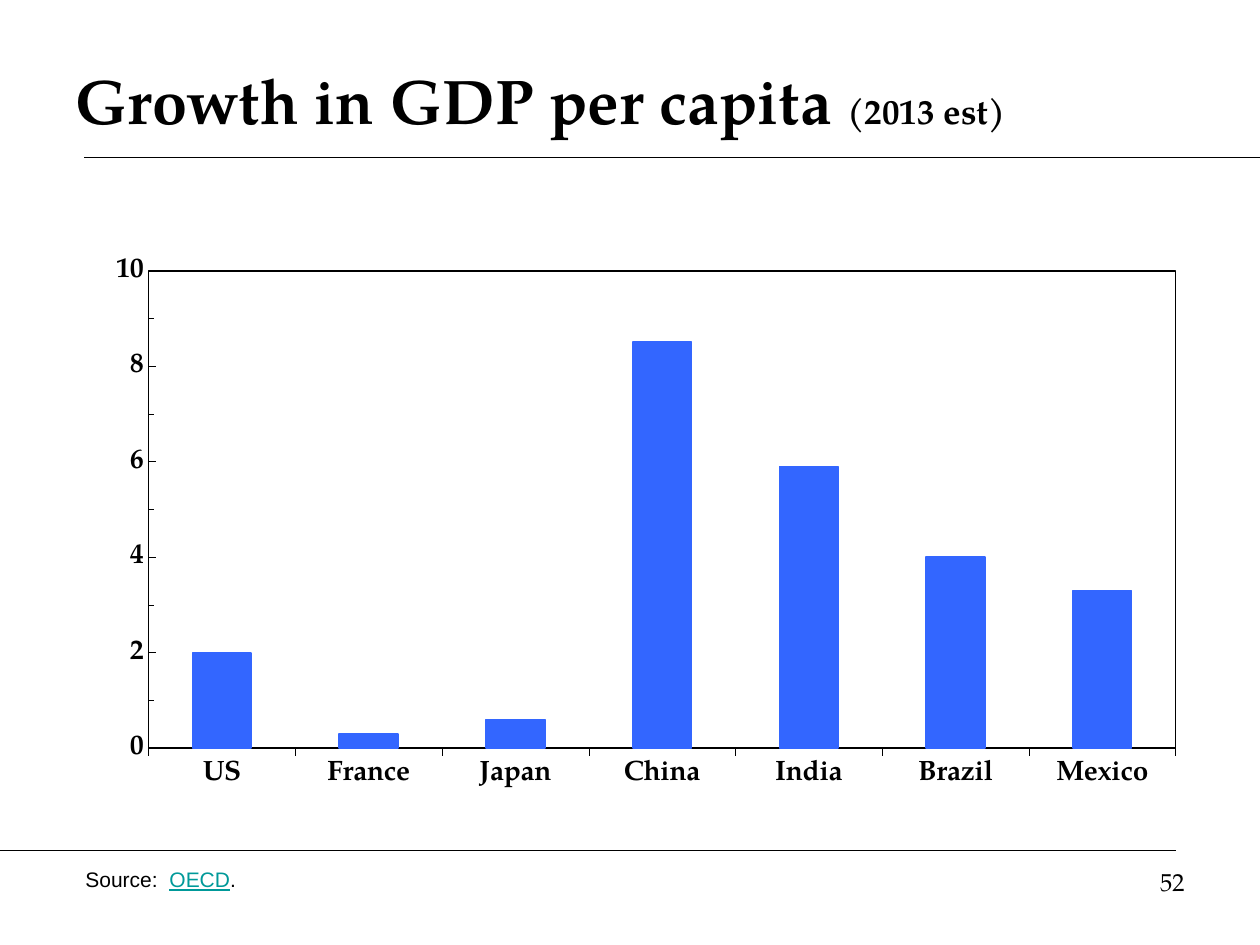
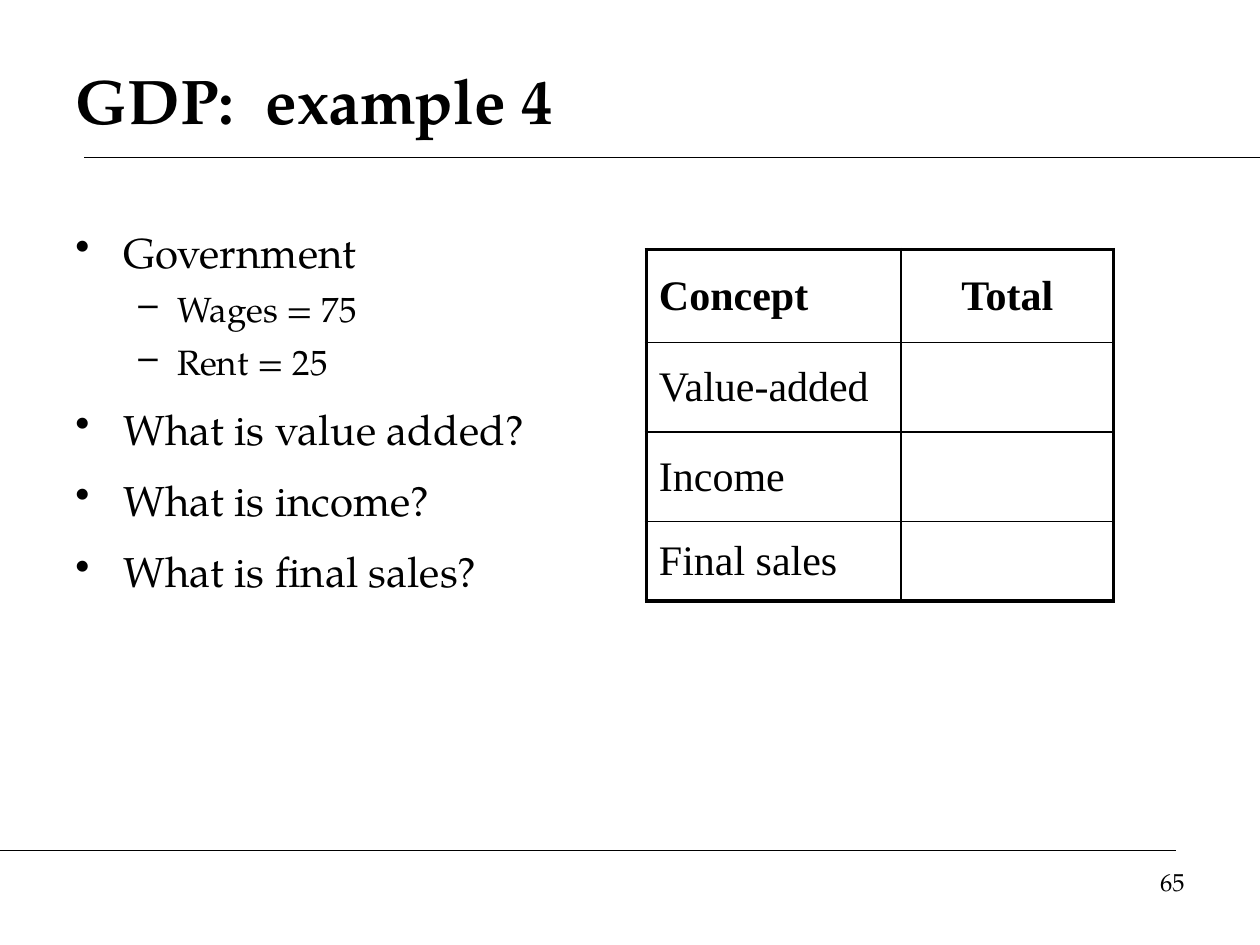
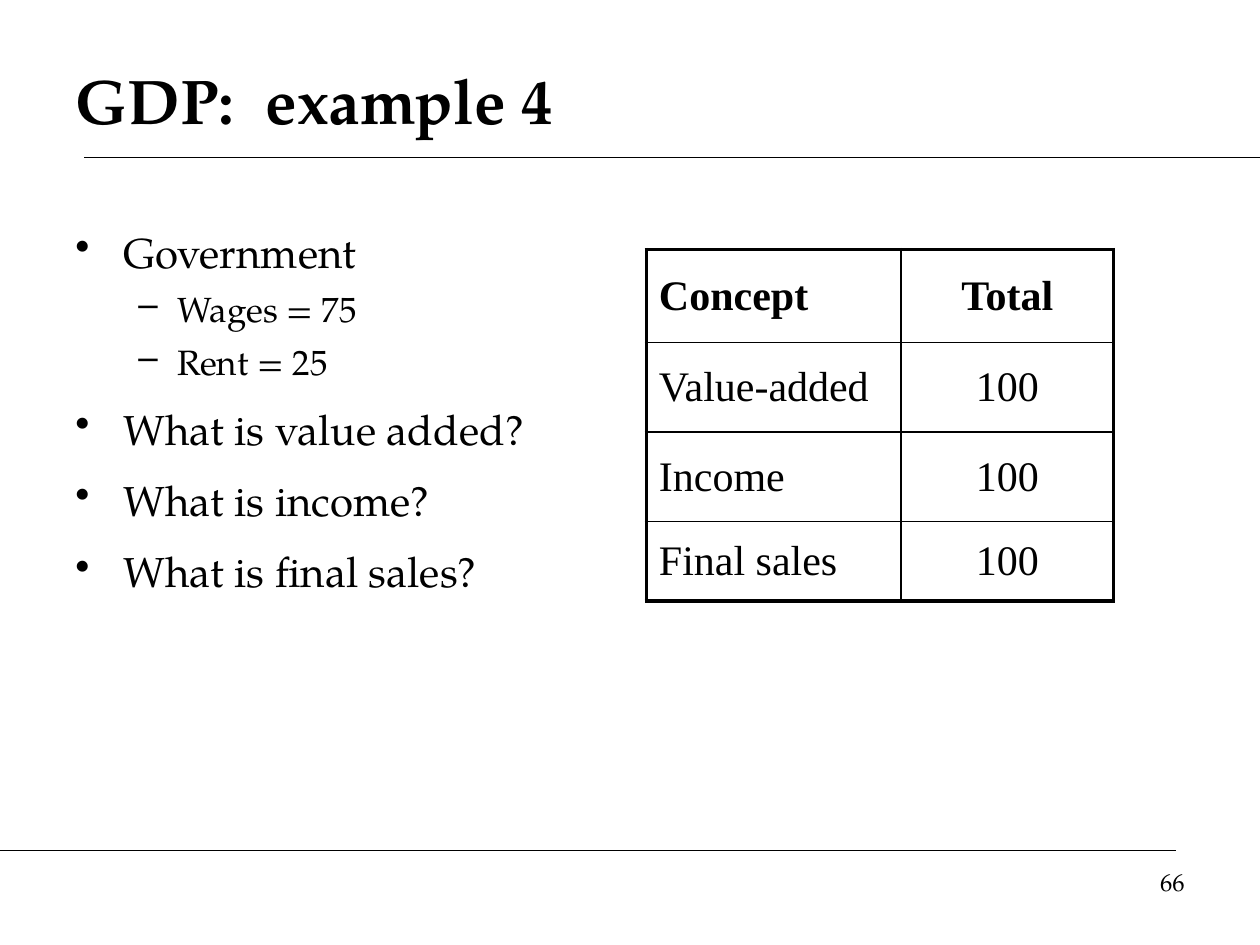
"""Build three economics slides: a growth chart and a GDP example with its solution."""
from lxml import etree
from pptx import Presentation
from pptx.chart.data import CategoryChartData
from pptx.dml.color import RGBColor
from pptx.enum.chart import XL_CHART_TYPE as CHART, XL_TICK_MARK as TICK
from pptx.enum.shapes import MSO_CONNECTOR as CONN
from pptx.enum.text import MSO_ANCHOR as ANCHOR, PP_ALIGN as ALIGN
from pptx.oxml import parse_xml
from pptx.oxml.ns import nsdecls, qn
from pptx.util import Inches, Pt

COLORS = {"ink": "000000", "bar": "3366FF", "link": "009999"}
SERIF, SANS, TABLE_FONT = "TeX Gyre Pagella", "Arial", "Times New Roman"
BULLETS = [
    {"char": "•", "size": 24, "left": 0.38, "hang": 0.38, "before": 12},
    {"char": "–", "size": 20, "left": 0.81, "hang": 0.31, "before": 6},
]
QUESTIONS = [
    (0, "Government"), (1, "Wages = 75"), (1, "Rent = 25"),
    (0, "What is value added?"), (0, "What is income?"), (0, "What is final sales?"),
]
CONCEPTS = ["Value-added", "Income", "Final sales"]
GROWTH = {"US": 2, "France": 0.3, "Japan": 0.6, "China": 8.5,
          "India": 5.9, "Brazil": 4, "Mexico": 3.3}


def rgb(name):
    """Return the named colour."""
    return RGBColor.from_string(COLORS[name])


def apply(obj, values):
    """Set each named attribute on an object."""
    for name, value in values.items():
        setattr(obj, name, value)


class Deck:
    """Hold the shared style and the current slide."""

    def __init__(self):
        """Start an empty 4:3 presentation."""
        self.prs = Presentation()
        apply(self.prs, {"slide_width": Inches(10), "slide_height": Inches(7.5)})
        self.s = None

    def slide(self, title, number):
        """Add a slide with its rules, title and number."""
        self.s = self.prs.slides.add_slide(self.prs.slide_layouts[6])
        self.rule(0.67, 10, 1.25)
        self.rule(0, 9.33, 6.75)
        self.text((0.5, 0.33, 9, 0.92), title, anchor=ANCHOR.MIDDLE)
        self.text((7.17, 6.83, 2.33, 0.52), [(number, {"size": 14})], align=ALIGN.RIGHT)

    def font(self, font, size, name=SERIF, color="ink", **extra):
        """Format a font."""
        apply(font, {"size": Pt(size), "name": name, **extra})
        font.color.rgb = rgb(color)

    def rule(self, x1, x2, y):
        """Draw a thin horizontal line."""
        c = self.s.shapes.add_connector(CONN.STRAIGHT, *map(Inches, (x1, y, x2, y)))
        c.line.width = Pt(0.75)
        c.line.color.rgb = rgb("ink")
        etree.SubElement(c._element.spPr, qn("a:effectLst"))

    def box(self, at, anchor=ANCHOR.TOP):
        """Add a wrapping text box and return its frame."""
        tf = self.s.shapes.add_textbox(*map(Inches, at)).text_frame
        apply(tf, {"word_wrap": True, "vertical_anchor": anchor})
        return tf

    def text(self, at, runs, align=ALIGN.LEFT, anchor=ANCHOR.TOP):
        """Add one paragraph of formatted runs."""
        p = self.box(at, anchor).paragraphs[0]
        p.alignment = align
        for words, fmt in runs:
            r = p.add_run()
            r.text = words
            self.font(r.font, **fmt)

    def bullets(self, at, items):
        """Add a two-level bulleted list."""
        tf = self.box(at)
        for i, (level, words) in enumerate(items):
            p = tf.add_paragraph() if i else tf.paragraphs[0]
            b = BULLETS[level]
            pPr = p._p.get_or_add_pPr()
            pPr.set("marL", str(Inches(b["left"])))
            pPr.set("indent", str(-Inches(b["hang"])))
            etree.SubElement(pPr, qn("a:buChar"), char=b["char"])
            apply(p, {"level": level, "space_before": Pt(b["before"] if i else 0)})
            r = p.add_run()
            r.text = words
            self.font(r.font, b["size"])

    def borders(self, cell, widths):
        """Set cell borders from left, right, top and bottom widths."""
        tcPr = cell._tc.get_or_add_tcPr()
        for i, (side, width) in enumerate(zip("LRTB", widths)):
            tcPr.insert(i, parse_xml(
                f'<a:ln{side} {nsdecls("a")} w="{Pt(width)}"><a:solidFill>'
                f'<a:srgbClr val="{COLORS["ink"]}"/></a:solidFill></a:ln{side}>'))

    def table(self, at, rows, widths, heights):
        """Add a plain table with a heavy outer frame."""
        tbl = self.s.shapes.add_table(len(rows), len(widths), *map(Inches, at)).table
        apply(tbl, {"first_row": False, "horz_banding": False})
        for col, width in zip(tbl.columns, widths):
            col.width = Inches(width)
        for i, (row, height) in enumerate(zip(rows, heights)):
            tbl.rows[i].height = Inches(height)
            for j, words in enumerate(row):
                cell = tbl.cell(i, j)
                cell.fill.background()
                cell.vertical_anchor = ANCHOR.MIDDLE
                outer = (j == 0, j == len(row) - 1, i == 0, i == len(rows) - 1)
                self.borders(cell, [2.25 if edge else 1 for edge in outer])
                p = cell.text_frame.paragraphs[0]
                p.alignment = ALIGN.CENTER if j else ALIGN.LEFT
                if words:
                    r = p.add_run()
                    r.text = words
                    self.font(r.font, 24, TABLE_FONT, bold=i == 0)

    def column_chart(self, at, values, plot):
        """Add a framed column chart with a fixed inner plot area."""
        data = CategoryChartData()
        data.categories = list(values)
        data.add_series("Series 1", list(values.values()))
        ch = self.s.shapes.add_chart(CHART.COLUMN_CLUSTERED, *map(Inches, at), data).chart
        apply(ch, {"has_legend": False, "has_title": False})
        self.font(ch.font, 18, SANS, bold=True)
        apply(ch.plots[0], {"gap_width": 150, "vary_by_categories": False})
        fmt = ch.plots[0].series[0].format
        fmt.fill.solid()
        fmt.fill.fore_color.rgb = rgb("bar")
        fmt.line.color.rgb = rgb("bar")
        fmt.line.width = Pt(1)
        ticks = {
            ch.category_axis: {"major_tick_mark": TICK.OUTSIDE, "minor_tick_mark": TICK.NONE},
            ch.value_axis: {"major_tick_mark": TICK.INSIDE, "minor_tick_mark": TICK.INSIDE,
                            "minimum_scale": 0, "maximum_scale": 10,
                            "major_unit": 2, "minor_unit": 1},
        }
        for axis, settings in ticks.items():
            apply(axis, {"has_major_gridlines": False, **settings})
            axis.format.line.color.rgb = rgb("ink")
            axis.format.line.width = Pt(0.25)
            self.font(axis.tick_labels.font, 16, bold=True)
        apply(ch.value_axis.tick_labels, {"number_format": "0", "number_format_is_linked": False})
        self.plot_frame(ch._chartSpace.chart.plotArea, plot)

    def plot_frame(self, area, plot):
        """Place the plot area by fractions and outline it."""
        for old in area.findall(qn("c:layout")):
            area.remove(old)
        modes = "".join(f'<c:{k}Mode val="edge"/>' for k in "xy")
        sizes = "".join(f'<c:{k} val="{v}"/>' for k, v in zip("xywh", plot))
        area.insert(0, parse_xml(
            f'<c:layout {nsdecls("c")}><c:manualLayout><c:layoutTarget val="inner"/>'
            f'{modes}{sizes}</c:manualLayout></c:layout>'))
        area.append(parse_xml(
            f'<c:spPr {nsdecls("c", "a")}><a:noFill/><a:ln w="{Pt(1)}"><a:solidFill>'
            f'<a:srgbClr val="{COLORS["ink"]}"/></a:solidFill></a:ln></c:spPr>'))


def main():
    """Build and save the deck."""
    deck = Deck()
    heading = {"size": 36, "bold": True}
    source = {"size": 12, "name": SANS}
    deck.slide([("Growth in GDP per capita ", heading),
                ("(2013 est)", {**heading, "size": 20})], "52")
    deck.column_chart((0.56, 1.81, 8.86, 4.83), GROWTH, (0.07, 0.07, 0.92, 0.785))
    deck.text((0.58, 6.83, 4.83, 0.3), [
        ("Source:  ", source),
        ("OECD", {**source, "color": "link", "underline": True}),
        (".", source)])
    for number, total in (("65", ""), ("66", "100")):
        deck.slide([("GDP:  example 4", heading)], number)
        deck.bullets((0.5, 1.75, 4.25, 4.42), QUESTIONS)
        rows = [("Concept", "Total")] + [(concept, total) for concept in CONCEPTS]
        deck.table((5.13, 1.98, 3.71, 2.8), rows, (2.02, 1.69), (0.74, 0.71, 0.71, 0.63))
    deck.prs.save("out.pptx")


if __name__ == "__main__":
    main()
